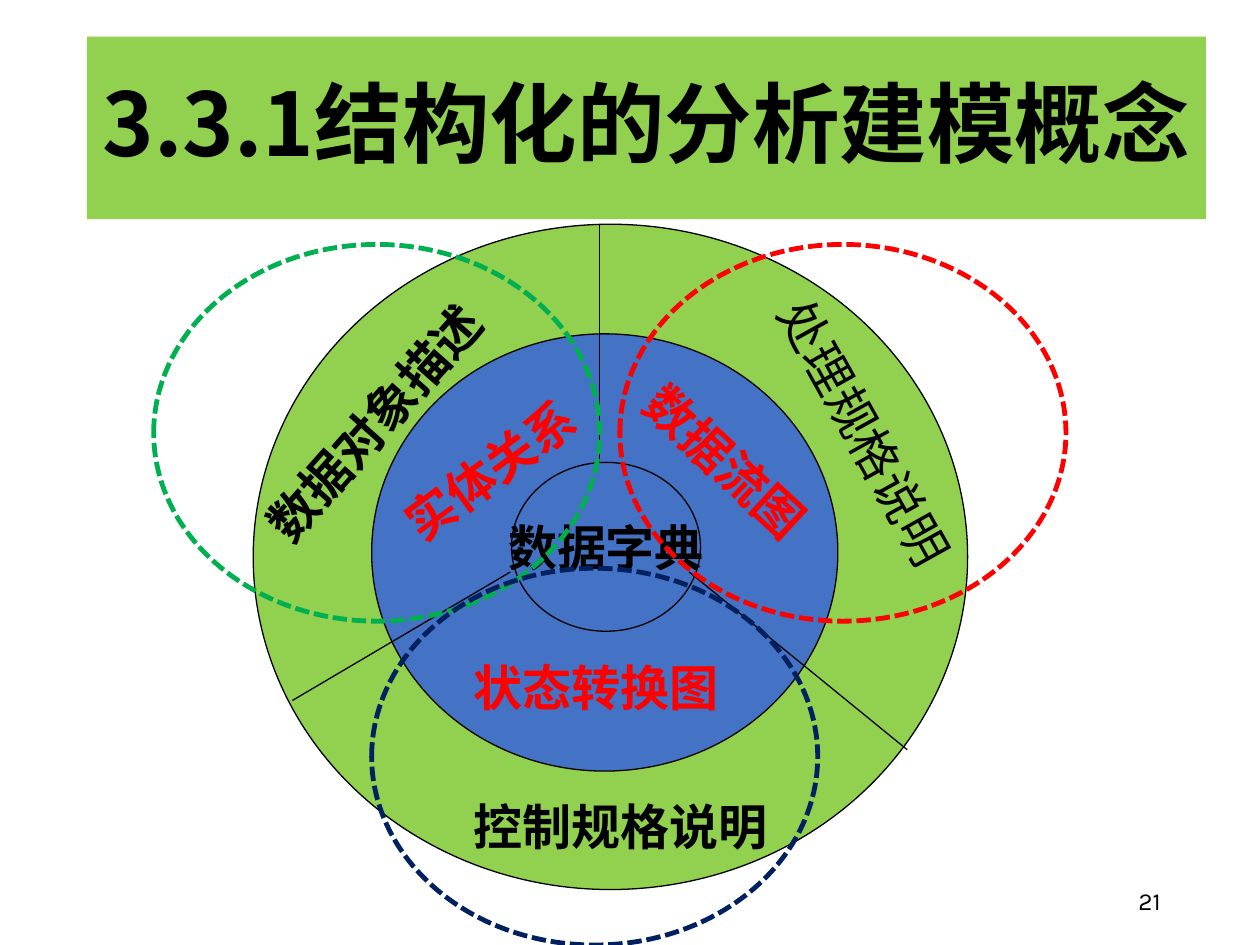
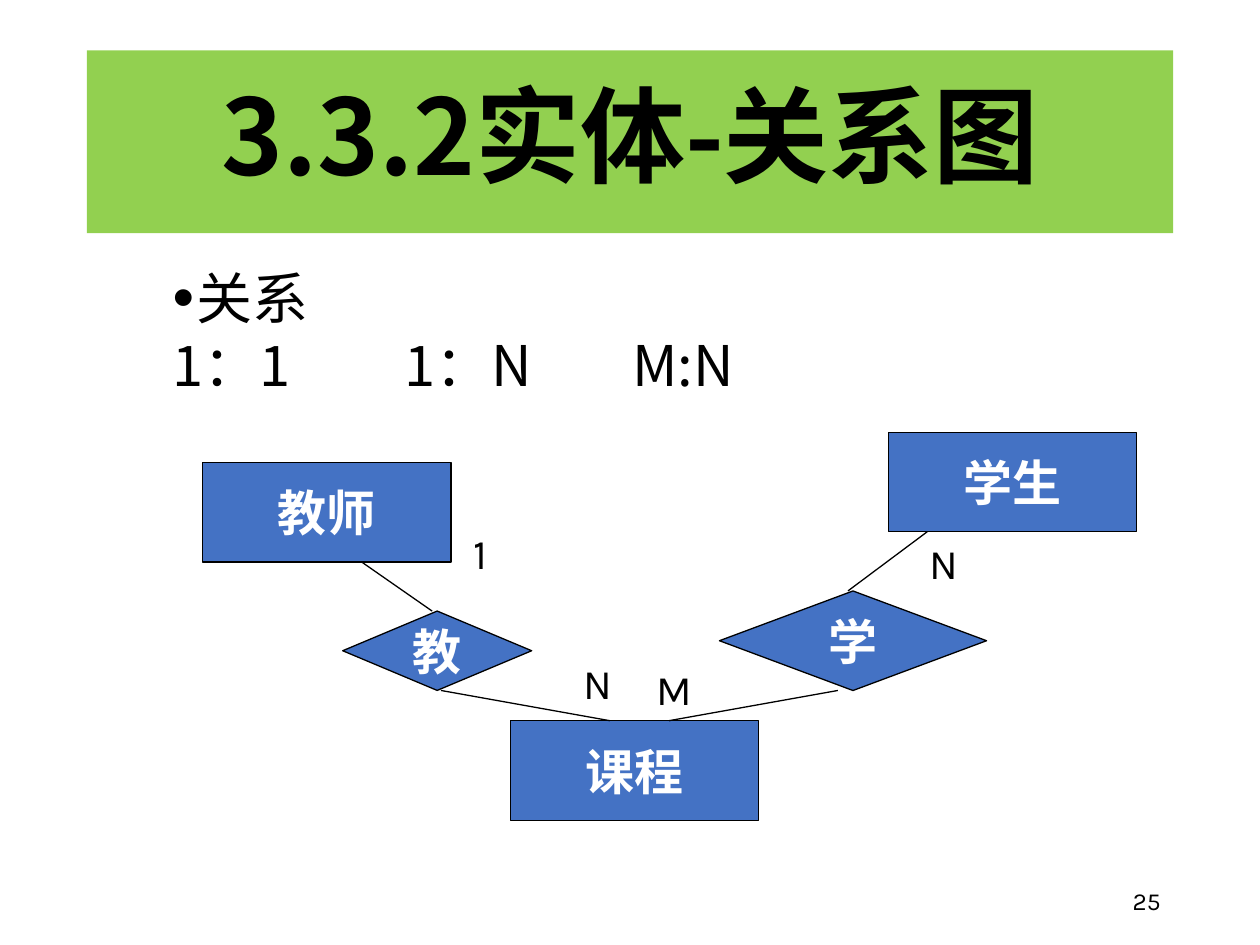
"""Build two slides on structured analysis modelling and entity-relationship diagrams."""
from lxml import etree
from pptx import Presentation
from pptx.dml.color import RGBColor
from pptx.enum.dml import MSO_LINE
from pptx.enum.shapes import MSO_CONNECTOR, MSO_SHAPE
from pptx.enum.text import MSO_ANCHOR, MSO_AUTO_SIZE, PP_ALIGN
from pptx.oxml.ns import qn
from pptx.util import Inches, Pt

BLACK = RGBColor(0x00, 0x00, 0x00)
WHITE = RGBColor(0xFF, 0xFF, 0xFF)
LIME = RGBColor(0x92, 0xD0, 0x50)
BLUE = RGBColor(0x44, 0x72, 0xC4)
RED = RGBColor(0xFF, 0x00, 0x00)
GREEN = RGBColor(0x00, 0xB0, 0x50)
NAVY = RGBColor(0x00, 0x20, 0x60)
LATIN, CJK = "Karla", "Noto Sans CJK SC"
OVAL, RECT, DIAMOND = MSO_SHAPE.OVAL, MSO_SHAPE.RECTANGLE, MSO_SHAPE.FLOWCHART_DECISION
LEFT, CENTER, RIGHT, JUSTIFY = PP_ALIGN.LEFT, PP_ALIGN.CENTER, PP_ALIGN.RIGHT, PP_ALIGN.JUSTIFY
MIDDLE = MSO_ANCHOR.MIDDLE
NO_FIT, GROW = MSO_AUTO_SIZE.NONE, MSO_AUTO_SIZE.SHAPE_TO_FIT_TEXT
SYS_DASH = MSO_LINE.SQUARE_DOT
STRAIGHT = MSO_CONNECTOR.STRAIGHT


def write(paragraph, text, size, color=BLACK, bold=False, align=LEFT, latin=LATIN):
    """Fill a paragraph and set its font for Latin and Chinese text."""
    paragraph.text = text
    paragraph.alignment = align
    font = paragraph.font
    font.size, font.bold, font.name = Pt(size), bold, latin
    font.color.rgb = color
    defaults = paragraph._p.pPr.find(qn("a:defRPr"))
    etree.SubElement(defaults, qn("a:ea")).set("typeface", CJK)


def outline(slide, kind, box, color=BLACK, width=0.75):
    """Add a preset shape with a plain outline and no shadow."""
    shape = slide.shapes.add_shape(kind, *map(Inches, box))
    shape.shadow.inherit = False
    shape.line.color.rgb = color
    shape.line.width = Pt(width)
    return shape


prs = Presentation()
prs.slide_width, prs.slide_height = Inches(10), Inches(7.5)
concept, relation = [prs.slides.add_slide(prs.slide_layouts[5]) for _ in range(2)]

for slide, heading, size, top, width, number in [
    (concept, "3.3.1结构化的分析建模概念", 50, 0.29, 8.88, "21"),
    (relation, "3.3.2实体-关系图", 60, 0.4, 8.62, "25"),
]:
    title = slide.shapes.title
    title.left, title.top = Inches(0.69), Inches(top)
    title.width, title.height = Inches(width), Inches(1.45)
    title.fill.solid()
    title.fill.fore_color.rgb = LIME
    title.text_frame.auto_size = NO_FIT
    title.text_frame.vertical_anchor = MIDDLE
    heading_line = title.text_frame.paragraphs[0]
    write(heading_line, heading, size, bold=True, align=CENTER, latin=CJK)
    heading_line.line_spacing = 0.9

    page = slide.shapes.add_textbox(Inches(7.06), Inches(6.95), Inches(2.25), Inches(0.4))
    page.text_frame.word_wrap = True
    page.text_frame.vertical_anchor = MIDDLE
    write(page.text_frame.paragraphs[0], number, 14, align=RIGHT)

cardinality = relation.shapes.add_textbox(Inches(0.9), Inches(2.1), Inches(8.5), Inches(4.5)).text_frame
cardinality.word_wrap = True
cardinality.margin_left = Inches(0.47)
topic, ratios = cardinality.paragraphs[0], cardinality.add_paragraph()
for paragraph, text in [(topic, "关系"), (ratios, "1：1\t1：N\tM:N")]:
    write(paragraph, text, 32, align=JUSTIFY, latin=CJK)
    paragraph.line_spacing = 0.9
    paragraph.space_before = Pt(3.8)

topic_props = topic._p.pPr
topic_props.set("marL", str(Inches(0.19)))
topic_props.set("indent", str(Inches(-0.19)))
for tag, key, value in [("a:buSzPct", "val", "110000"), ("a:buFont", "typeface", "Arial"),
                        ("a:buChar", "char", "•")]:
    bullet = etree.Element(qn(tag))
    bullet.set(key, value)
    topic_props.find(qn("a:defRPr")).addprevious(bullet)

tab_list = etree.Element(qn("a:tabLst"))
for position in (1.84, 3.65):
    tab = etree.SubElement(tab_list, qn("a:tab"))
    tab.set("pos", str(Inches(position)))
    tab.set("algn", "l")
ratios._p.pPr.find(qn("a:defRPr")).addprevious(tab_list)

for slide, kind, box, fill, text, color in [
    (concept, OVAL, (2.01, 1.78, 5.67, 5.28), LIME, "", BLACK),
    (concept, OVAL, (2.95, 2.65, 3.7, 3.47), BLUE, "", BLACK),
    (concept, OVAL, (4.06, 3.67, 1.5, 1.34), BLUE, "数据字典", BLACK),
    (relation, RECT, (1.61, 3.67, 1.97, 0.79), BLUE, "教师", WHITE),
    (relation, RECT, (7.05, 3.43, 1.97, 0.79), BLUE, "学生", WHITE),
    (relation, RECT, (4.05, 5.72, 1.97, 0.79), BLUE, "课程", WHITE),
    (relation, DIAMOND, (2.72, 4.85, 1.5, 0.63), BLUE, "教", WHITE),
    (relation, DIAMOND, (5.71, 4.69, 2.12, 0.79), BLUE, "学", WHITE),
]:
    node = outline(slide, kind, box)
    node.fill.solid()
    node.fill.fore_color.rgb = fill
    if text:
        node.text_frame.word_wrap = False
        node.text_frame.vertical_anchor = MIDDLE
        write(node.text_frame.paragraphs[0], text, 28, color, True, CENTER)

for slide, ends in [
    (concept, (4.05, 4.54, 2.32, 5.56)),
    (concept, (5.47, 4.54, 7.2, 5.95)),
    (concept, (4.76, 1.78, 4.76, 3.67)),
    (relation, (2.87, 4.46, 3.43, 4.85)),
    (relation, (6.73, 4.69, 7.36, 4.22)),
    (relation, (3.5, 5.48, 4.84, 5.72)),
    (relation, (5.31, 5.72, 6.65, 5.48)),
]:
    link = slide.shapes.add_connector(STRAIGHT, *map(Inches, ends))
    link.line.color.rgb = BLACK
    link.line.width = Pt(0.75)
    etree.SubElement(link._element.spPr, qn("a:effectLst"))

for slide, text, box, angle, size, color, bold in [
    (concept, "实体关系", (3, 3.39, 1.94, 0.57), 323.8, 28, RED, True),
    (concept, "数据流图", (4.84, 3.48, 2.05, 0.57), 43, 28, RED, True),
    (concept, "状态转换图", (3.66, 5.17, 2.36, 0.57), 0, 28, RED, True),
    (concept, "控制规格说明", (3.66, 6.27, 2.84, 0.57), 0, 28, BLACK, True),
    (concept, "数据对象描述", (1.62, 2.88, 3.03, 0.57), 311.4, 28, BLACK, True),
    (concept, "处理规格说明", (5.54, 3.25, 2.76, 0.57), 60.9, 28, BLACK, False),
    (relation, "1", (3.66, 4.14, 0.47, 0.5), 0, 24, BLACK, False),
    (relation, "N", (4.53, 5.17, 0.47, 0.5), 0, 24, BLACK, False),
    (relation, "N", (7.28, 4.22, 0.47, 0.5), 0, 24, BLACK, False),
    (relation, "M", (5.11, 5.22, 0.47, 0.5), 0, 24, BLACK, False),
]:
    label = slide.shapes.add_textbox(*map(Inches, box))
    label.rotation = angle
    label.text_frame.word_wrap = True
    label.text_frame.auto_size = GROW
    write(label.text_frame.paragraphs[0], text, size, color, bold)

for left, top, color in [(1.22, 1.94, GREEN), (4.92, 1.94, RED), (2.95, 4.51, NAVY)]:
    model_area = outline(concept, OVAL, (left, top, 3.54, 2.99), color, 2.75)
    model_area.fill.background()
    model_area.line.dash_style = SYS_DASH

prs.save("out.pptx")
